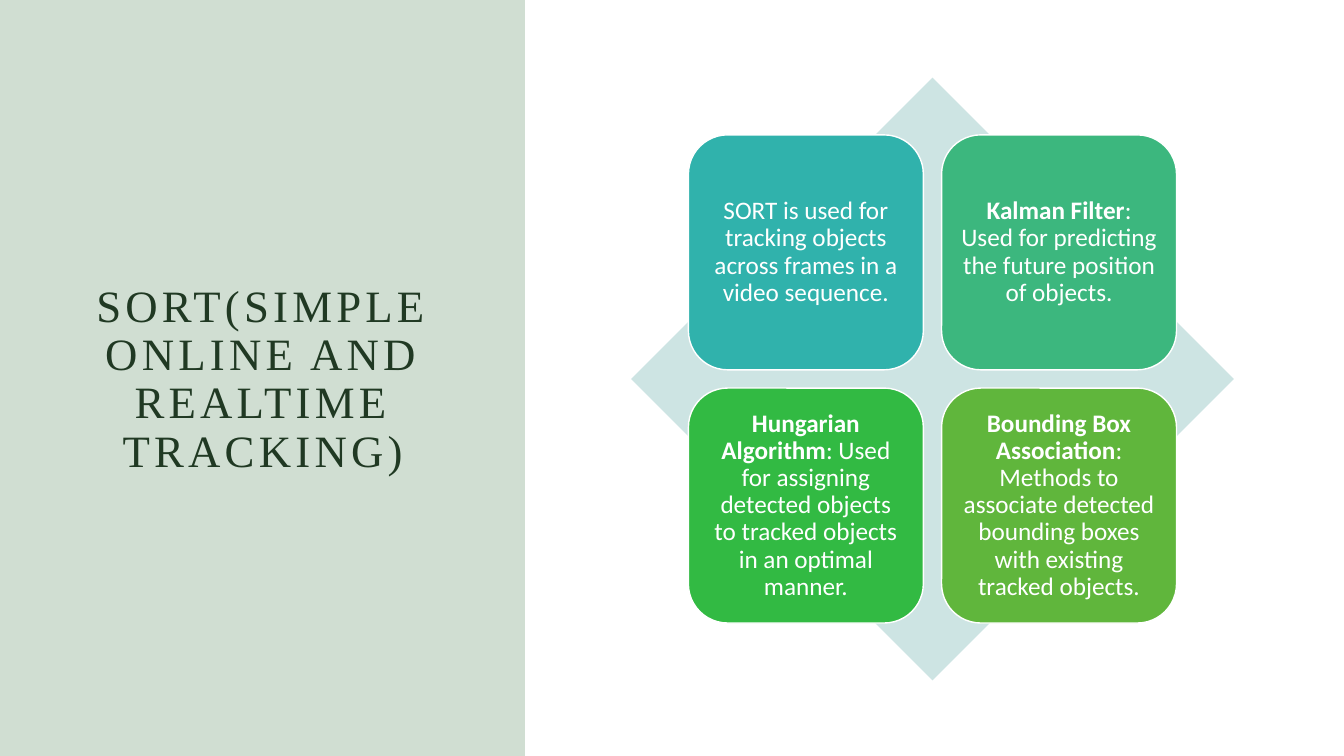
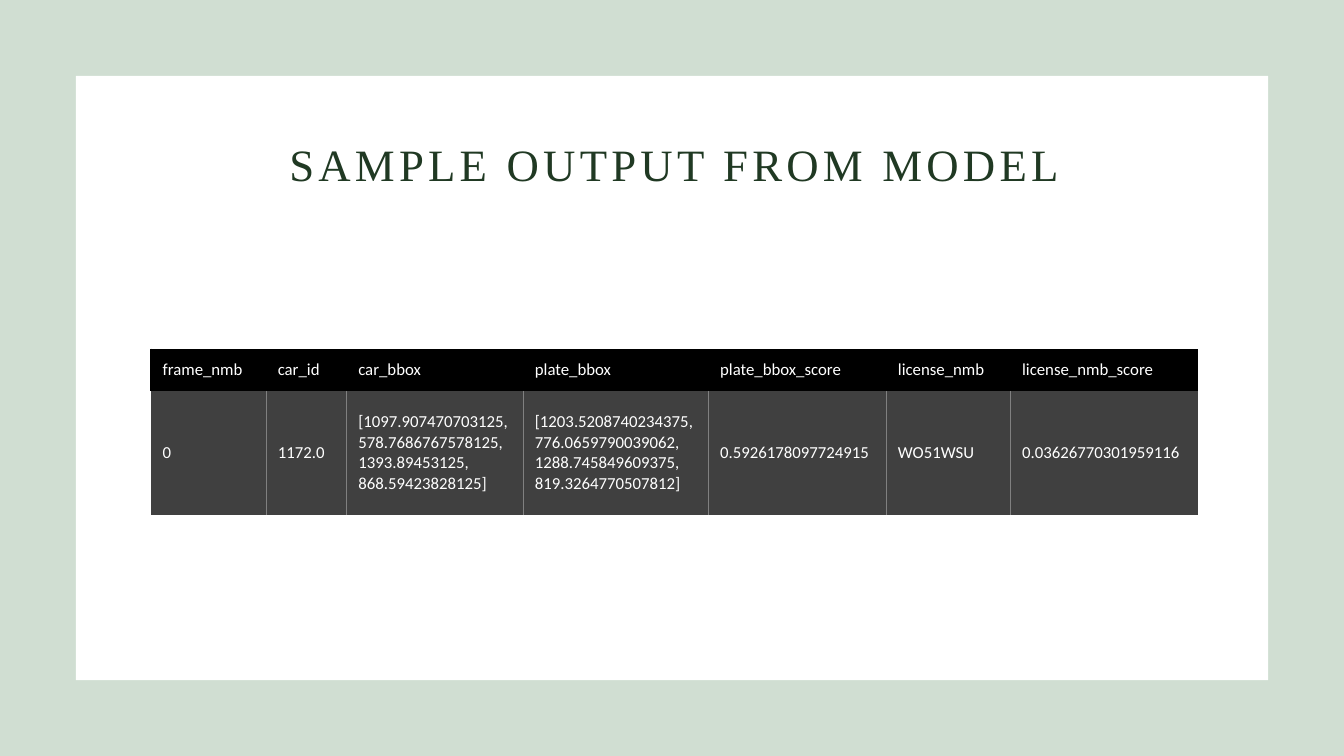
"""Builds two slides on object tracking: the SORT method and a sample of model output."""
from dataclasses import dataclass

from lxml import etree
from pptx import Presentation
from pptx import util as u
from pptx.dml.color import RGBColor
from pptx.enum import shapes, text
from pptx.oxml.ns import qn


@dataclass(frozen=True)
class Theme:
    heading_font: str = "Times New Roman"
    body_font: str = "Calibri"
    heading_size: float = 32
    card_size: float = 18
    table_size: float = 12
    letter_spacing: float = 3
    heading: str = "203923"
    band: str = "467C4C"
    band_opacity: int = 25
    white: str = "FFFFFF"
    diamond: str = "CDE4E3"
    cards: tuple = ("30B2AC", "3CB77E", "32BA43", "60B63C")
    table_head: str = "000000"
    table_body: str = "404040"
    table_rule: str = "808080"


WIDTH, HEIGHT = 33.87, 19.05
PLAIN_TABLE = "{2D5ABB26-0587-4C30-8999-92F81FD0307C}"


def write_text(frame, content, *, font, size, color, lead="", align=text.PP_ALIGN.LEFT,
               line_spacing=1.0, letter_spacing=0):
    frame.word_wrap = True
    paragraph = frame.paragraphs[0]
    paragraph.alignment = align
    paragraph.line_spacing = line_spacing
    for words, bold in ((lead, True), (content, False)):
        if not words:
            continue
        run = paragraph.add_run()
        run.text = words
        run.font.name = font
        run.font.size = u.Pt(size)
        run.font.bold = bold
        run.font.color.rgb = RGBColor.from_string(color)
        if letter_spacing:
            run.font._element.set("spc", str(int(letter_spacing * 100)))


def set_margins(box, left, top, right, bottom):
    box.margin_left, box.margin_top = u.Cm(left), u.Cm(top)
    box.margin_right, box.margin_bottom = u.Cm(right), u.Cm(bottom)


def add_border(cell, side, color, width):
    properties = cell._tc.get_or_add_tcPr()
    line = etree.SubElement(properties, qn(f"a:ln{side}"), w=str(u.Pt(width)))
    fill = etree.SubElement(line, qn("a:solidFill"))
    etree.SubElement(fill, qn("a:srgbClr"), val=color)


class Deck:
    def __init__(self, theme):
        self.theme = theme
        self.presentation = Presentation()
        self.presentation.slide_width = u.Cm(WIDTH)
        self.presentation.slide_height = u.Cm(HEIGHT)
        self.slide = None

    def new_slide(self):
        self.slide = self.presentation.slides.add_slide(self.presentation.slide_layouts[5])

    def shape(self, kind, left, top, width, height, color, outline=None):
        shape = self.slide.shapes.add_shape(
            kind, u.Cm(left), u.Cm(top), u.Cm(width), u.Cm(height))
        shape.shadow.inherit = False
        shape.fill.solid()
        shape.fill.fore_color.rgb = RGBColor.from_string(color)
        if outline:
            shape.line.color.rgb = RGBColor.from_string(outline)
            shape.line.width = u.Pt(1)
        else:
            shape.line.fill.background()
        return shape

    def band(self, width):
        band = self.shape(shapes.MSO_SHAPE.RECTANGLE, 0, 0, width, HEIGHT, self.theme.band)
        color = band._element.spPr.find(qn("a:solidFill")).find(qn("a:srgbClr"))
        etree.SubElement(color, qn("a:alpha"), val=str(self.theme.band_opacity * 1000))

    def panel(self, margin):
        self.shape(shapes.MSO_SHAPE.RECTANGLE, margin, margin,
                   WIDTH - 2 * margin, HEIGHT - 2 * margin, self.theme.white)

    def title(self, content, left, top, width, height):
        title = self.slide.shapes.title
        title.element.getparent().append(title.element)
        title.left, title.top = u.Cm(left), u.Cm(top)
        title.width, title.height = u.Cm(width), u.Cm(height)
        title.text_frame.auto_size = text.MSO_AUTO_SIZE.NONE
        title.text_frame.vertical_anchor = text.MSO_ANCHOR.MIDDLE
        write_text(title.text_frame, content, font=self.theme.heading_font,
                   size=self.theme.heading_size, color=self.theme.heading,
                   align=text.PP_ALIGN.CENTER, line_spacing=0.9,
                   letter_spacing=self.theme.letter_spacing)

    def card(self, lead, content, left, top, side, color):
        card = self.shape(shapes.MSO_SHAPE.ROUNDED_RECTANGLE, left, top, side, side,
                          color, self.theme.white)
        set_margins(card.text_frame, 0.18, 0.18, 0.18, 0.18)
        card.text_frame.vertical_anchor = text.MSO_ANCHOR.MIDDLE
        write_text(card.text_frame, content, lead=lead, font=self.theme.body_font,
                   size=self.theme.card_size, color=self.theme.white,
                   align=text.PP_ALIGN.CENTER, line_spacing=0.9)

    def card_matrix(self, cards, center_x, center_y, diamond, side, gap):
        self.shape(shapes.MSO_SHAPE.DIAMOND, center_x - diamond / 2, center_y - diamond / 2,
                   diamond, diamond, self.theme.diamond)
        for index, (lead, content) in enumerate(cards):
            row, column = divmod(index, 2)
            left = center_x - side - gap / 2 + column * (side + gap)
            top = center_y - side - gap / 2 + row * (side + gap)
            self.card(lead, content, left, top, side, self.theme.cards[index])

    def table(self, rows, left, top, widths, heights):
        frame = self.slide.shapes.add_table(
            len(rows), len(widths), u.Cm(left), u.Cm(top),
            u.Cm(sum(widths)), u.Cm(sum(heights)))
        table = frame.table
        table._tbl.tblPr.find(qn("a:tableStyleId")).text = PLAIN_TABLE
        for column, width in zip(table.columns, widths):
            column.width = u.Cm(width)
        for row, height in zip(table.rows, heights):
            row.height = u.Cm(height)
        for row_index, values in enumerate(rows):
            for column_index, value in enumerate(values):
                cell = table.cell(row_index, column_index)
                self.cell_style(cell, row_index == 0, column_index == 0,
                                column_index == len(values) - 1)
                write_text(cell.text_frame, value, font=self.theme.body_font,
                           size=self.theme.table_size, color=self.theme.white)

    def cell_style(self, cell, is_head, is_first, is_last):
        theme = self.theme
        if is_head:
            if is_first:
                add_border(cell, "L", theme.table_head, 1.5)
            add_border(cell, "T", theme.table_head, 1.5)
        else:
            if not is_first:
                add_border(cell, "L", theme.table_rule, 0.5)
            if not is_last:
                add_border(cell, "R", theme.table_rule, 0.5)
        cell.fill.solid()
        color = theme.table_head if is_head else theme.table_body
        cell.fill.fore_color.rgb = RGBColor.from_string(color)
        cell.vertical_anchor = text.MSO_ANCHOR.MIDDLE
        set_margins(cell, 0.29, 0.23, 0.15, 0.23)


def add_method_slide(deck):
    deck.new_slide()
    deck.band(13.23)
    deck.title("SORT(SIMPLE ONLINE AND REALTIME TRACKING)", 1.91, 1.96, 9.42, 15.24)
    deck.card_matrix([
        ("", "SORT is used for tracking objects across frames in a video sequence."),
        ("Kalman Filter", ": Used for predicting the future position of objects."),
        ("Hungarian Algorithm",
         ": Used for assigning detected objects to tracked objects in an optimal manner."),
        ("Bounding Box Association",
         ": Methods to associate detected bounding boxes with existing tracked objects."),
    ], center_x=23.5, center_y=9.55, diamond=15.19, side=5.92, gap=0.46)


def add_output_slide(deck):
    deck.new_slide()
    deck.band(WIDTH)
    deck.panel(1.91)
    deck.title("SAMPLE OUTPUT FROM MODEL", 3.81, 2.97, 26.37, 2.49)
    deck.table([
        ("frame_nmb", "car_id", "car_bbox", "plate_bbox", "plate_bbox_score",
         "license_nmb", "license_nmb_score"),
        ("0", "1172.0",
         "[1097.907470703125, 578.7686767578125, 1393.89453125, 868.59423828125]",
         "[1203.5208740234375, 776.0659790039062, 1288.745849609375, 819.3264770507812]",
         "0.5926178097724915", "WO51WSU", "0.03626770301959116"),
    ], left=3.81, top=8.81, widths=(2.9, 2.03, 4.45, 4.67, 4.48, 3.13, 4.71),
        heights=(1.04, 3.12))


def main():
    deck = Deck(Theme())
    add_method_slide(deck)
    add_output_slide(deck)
    deck.presentation.save("out.pptx")


if __name__ == "__main__":
    main()
